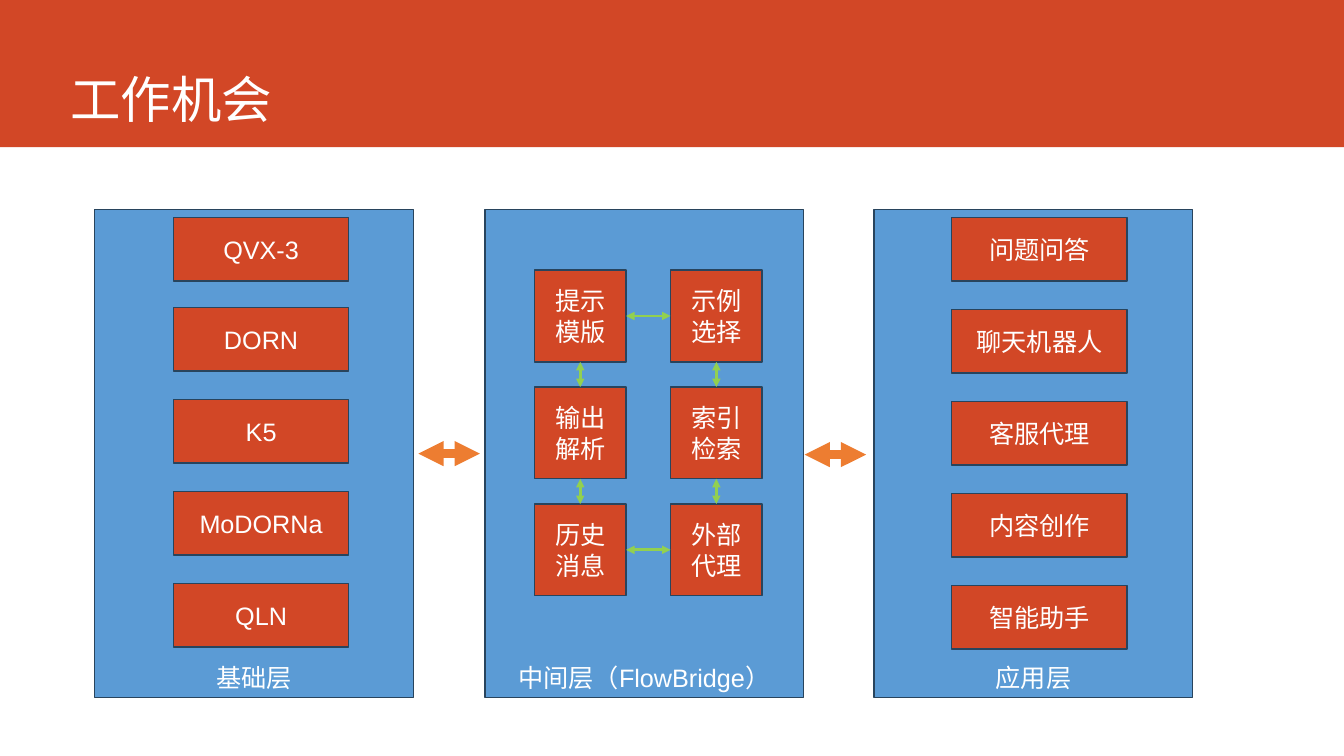
from dataclasses import dataclass

from lxml.etree import SubElement
from pptx import Presentation
from pptx.dml.color import RGBColor
from pptx.enum.shapes import MSO_CONNECTOR as Connector, MSO_SHAPE as Preset
from pptx.enum.text import MSO_ANCHOR as Anchor, PP_ALIGN as Align
from pptx.oxml.ns import qn
from pptx.shapes.autoshape import Shape
from pptx.shapes.connector import Connector as Arrow
from pptx.slide import Slide
from pptx.util import Inches, Pt

COLORS = {
    "red": "D24726",
    "blue": "5B9BD5",
    "outline": "28445D",
    "green": "92D050",
    "orange": "ED7D31",
    "white": "FFFFFF",
}
PANEL_TOP, PANEL_WIDTH, PANEL_HEIGHT = 2.08, 3.16, 4.84
ITEM_WIDTH, ITEM_HEIGHT, ITEM_FIRST_TOP, ITEM_PITCH = 1.74, 0.63, 2.16, 3.65 / 4
MODULE_SIZE, MODULE_LEFT, MODULE_TOP = 0.91, 5.3, 2.68
MODULE_PITCH_X, MODULE_PITCH_Y = 1.35, 1.16
TOP, LEFT, BOTTOM, RIGHT = range(4)


@dataclass(frozen=True)
class Layer:
    """A panel with its caption and a column of stacked items."""

    caption: str
    left: float
    items: tuple[str, ...] = ()
    item_left: float = 0
    last_item_top: float = 0


@dataclass(frozen=True)
class ModuleLink:
    """A two-way link between sides of two modules."""

    start: str
    start_side: int
    end: str
    end_side: int


@dataclass(frozen=True)
class LayerLink:
    """A level two-way arrow between two layers."""

    start: float
    end: float
    y: float


LAYERS = (
    Layer("基础层", 0.94, ("QVX-3", "DORN", "K5", "MoDORNa", "QLN"), 1.72, 5.79),
    Layer("中间层（FlowBridge）", 4.81),
    Layer("应用层", 8.67, ("问题问答", "聊天机器人", "客服代理", "内容创作", "智能助手"), 9.44, 5.81),
)
MODULES = (("提示模版", "示例选择"), ("输出解析", "索引检索"), ("历史消息", "外部代理"))
MODULE_LINKS = (
    ModuleLink("提示模版", RIGHT, "示例选择", LEFT),
    ModuleLink("示例选择", BOTTOM, "索引检索", TOP),
    ModuleLink("外部代理", TOP, "索引检索", BOTTOM),
    ModuleLink("历史消息", RIGHT, "外部代理", LEFT),
    ModuleLink("历史消息", TOP, "输出解析", BOTTOM),
    ModuleLink("提示模版", BOTTOM, "输出解析", TOP),
)
LAYER_LINKS = (LayerLink(4.15, 4.76, 4.5), LayerLink(7.98, 8.59, 4.51))


def color(name: str) -> RGBColor:
    """Return a palette colour."""
    return RGBColor.from_string(COLORS[name])


def add_box(slide: Slide, left: float, top: float, width: float, height: float,
            fill: str, text: str, anchor: Anchor = Anchor.MIDDLE) -> Shape:
    """Draw an outlined box with centred white text."""
    box = slide.shapes.add_shape(
        Preset.RECTANGLE, Inches(left), Inches(top), Inches(width), Inches(height))
    box.shadow.inherit = False
    box.fill.solid()
    box.fill.fore_color.rgb = color(fill)
    box.line.color.rgb = color("outline")
    box.line.width = Pt(1)
    frame = box.text_frame
    frame.word_wrap = True
    frame.vertical_anchor = anchor
    label = frame.paragraphs[0]
    label.text = text
    label.alignment = Align.CENTER
    label.font.name = "Arial"
    label.font.size = Pt(18)
    label.font.color.rgb = color("white")
    return box


def add_arrow(slide: Slide, start: float, end: float, y: float,
              stroke: str, weight: float) -> Arrow:
    """Draw a level line with an arrowhead at both ends."""
    arrow = slide.shapes.add_connector(
        Connector.STRAIGHT, Inches(start), Inches(y), Inches(end), Inches(y))
    arrow.line.color.rgb = color(stroke)
    arrow.line.width = Pt(weight)
    line = arrow.line._get_or_add_ln()
    for tip in ("a:headEnd", "a:tailEnd"):
        SubElement(line, qn(tip), type="triangle")
    SubElement(arrow._element.spPr, qn("a:effectLst"))
    return arrow


def add_header(slide: Slide) -> None:
    """Draw the red band and the slide title."""
    band = slide.shapes.add_shape(Preset.RECTANGLE, 0, 0, Inches(13.33), Inches(1.46))
    band.shadow.inherit = False
    band.fill.solid()
    band.fill.fore_color.rgb = color("red")
    band.line.fill.background()
    frame = slide.shapes.add_textbox(Inches(0.6), 0, Inches(11.76), Inches(1.32)).text_frame
    frame.word_wrap = True
    frame.vertical_anchor = Anchor.BOTTOM
    title = frame.paragraphs[0]
    title.text = "工作机会"
    title.line_spacing = 1.5
    title.space_after = Pt(12)
    title.font.name = "Noto Sans CJK SC"
    title.font.size = Pt(36)
    title.font.color.rgb = color("white")


def add_layer(slide: Slide, layer: Layer) -> None:
    """Draw a layer panel and its items."""
    add_box(slide, layer.left, PANEL_TOP, PANEL_WIDTH, PANEL_HEIGHT,
            "blue", layer.caption, Anchor.BOTTOM)
    for steps_up, item in enumerate(reversed(layer.items)):
        top = max(ITEM_FIRST_TOP, layer.last_item_top - steps_up * ITEM_PITCH)
        add_box(slide, layer.item_left, top, ITEM_WIDTH, ITEM_HEIGHT, "red", item)


def add_modules(slide: Slide) -> None:
    """Draw the middle layer's module grid and its links."""
    boxes = {
        name: add_box(slide, MODULE_LEFT + column * MODULE_PITCH_X,
                      MODULE_TOP + row * MODULE_PITCH_Y,
                      MODULE_SIZE, MODULE_SIZE, "red", name)
        for row, names in enumerate(MODULES)
        for column, name in enumerate(names)
    }
    for link in MODULE_LINKS:
        arrow = add_arrow(slide, 0, 0, 0, "green", 2)
        arrow.begin_connect(boxes[link.start], link.start_side)
        arrow.end_connect(boxes[link.end], link.end_side)


def main() -> None:
    """Build and save the slide."""
    deck = Presentation()
    deck.slide_width, deck.slide_height = Inches(13.33), Inches(7.5)
    slide = deck.slides.add_slide(deck.slide_layouts[6])
    add_header(slide)
    for layer in LAYERS:
        add_layer(slide, layer)
    add_modules(slide)
    for link in LAYER_LINKS:
        add_arrow(slide, link.start, link.end, link.y, "orange", 6)
    deck.save("out.pptx")


if __name__ == "__main__":
    main()
